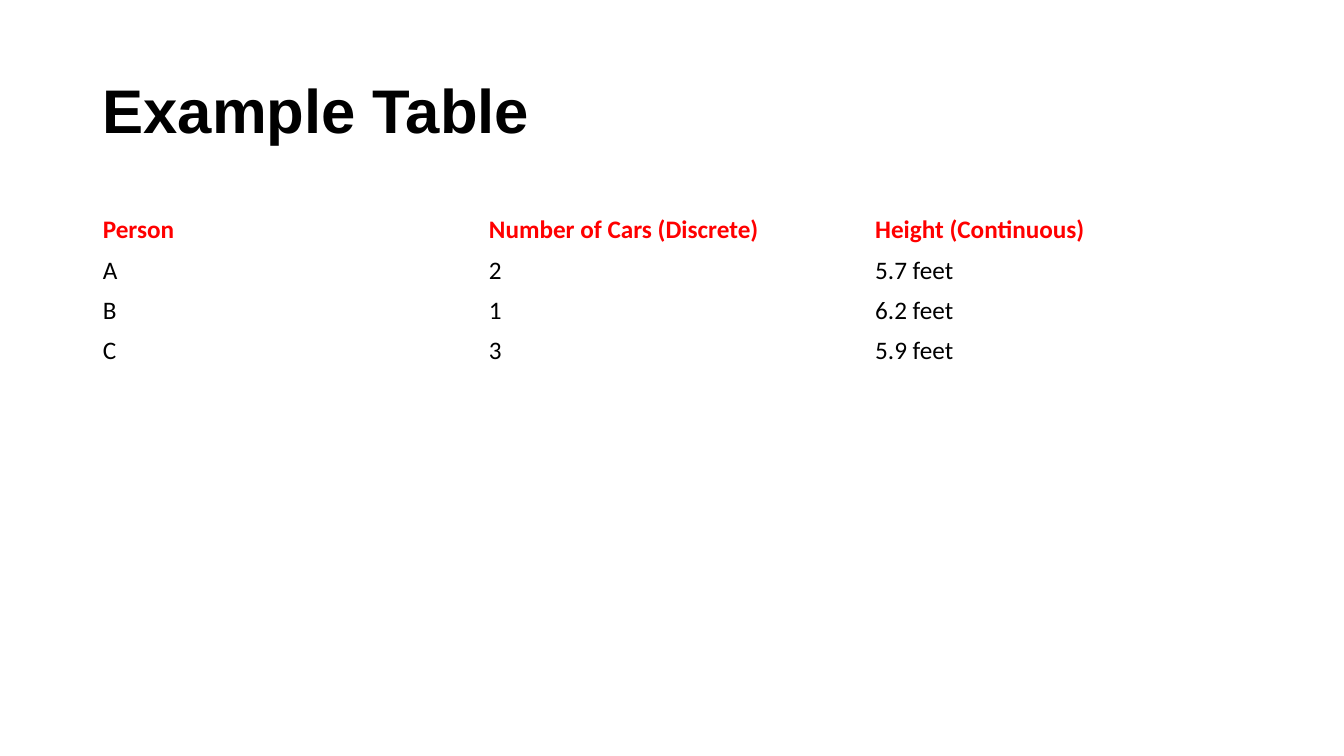
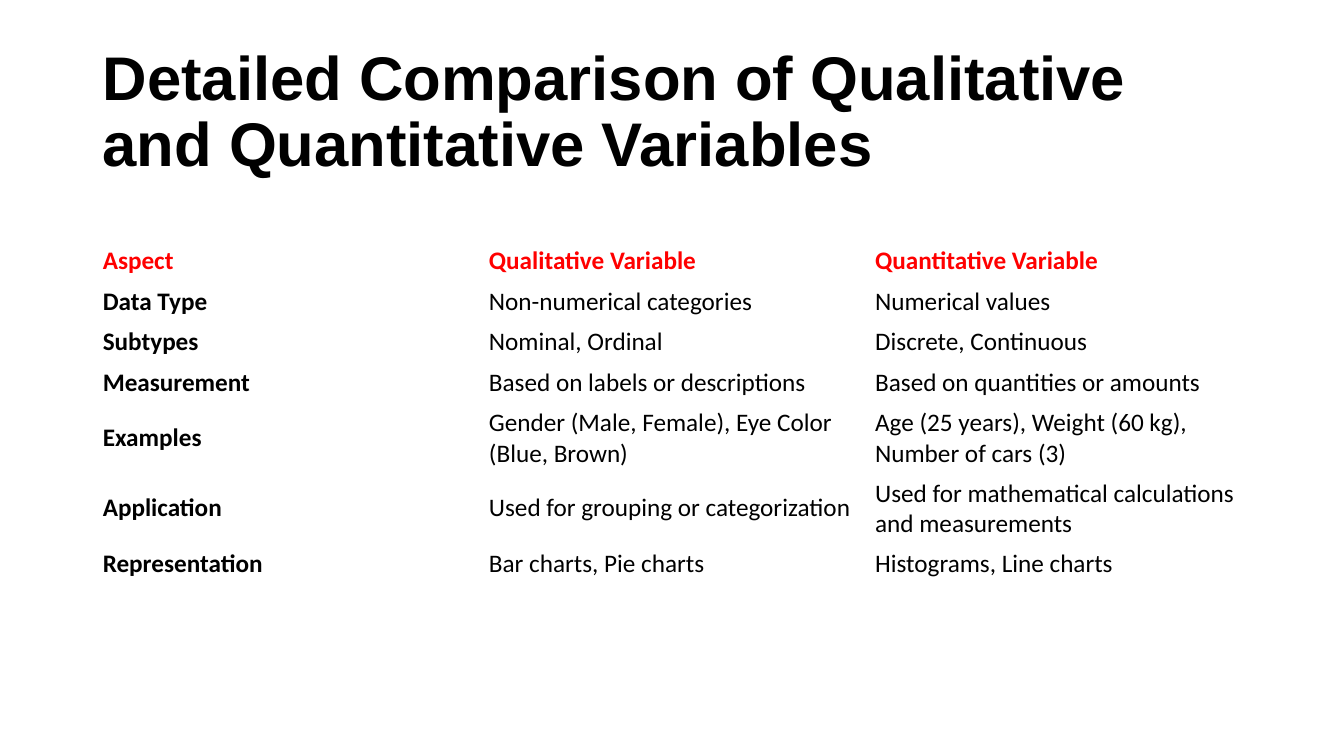
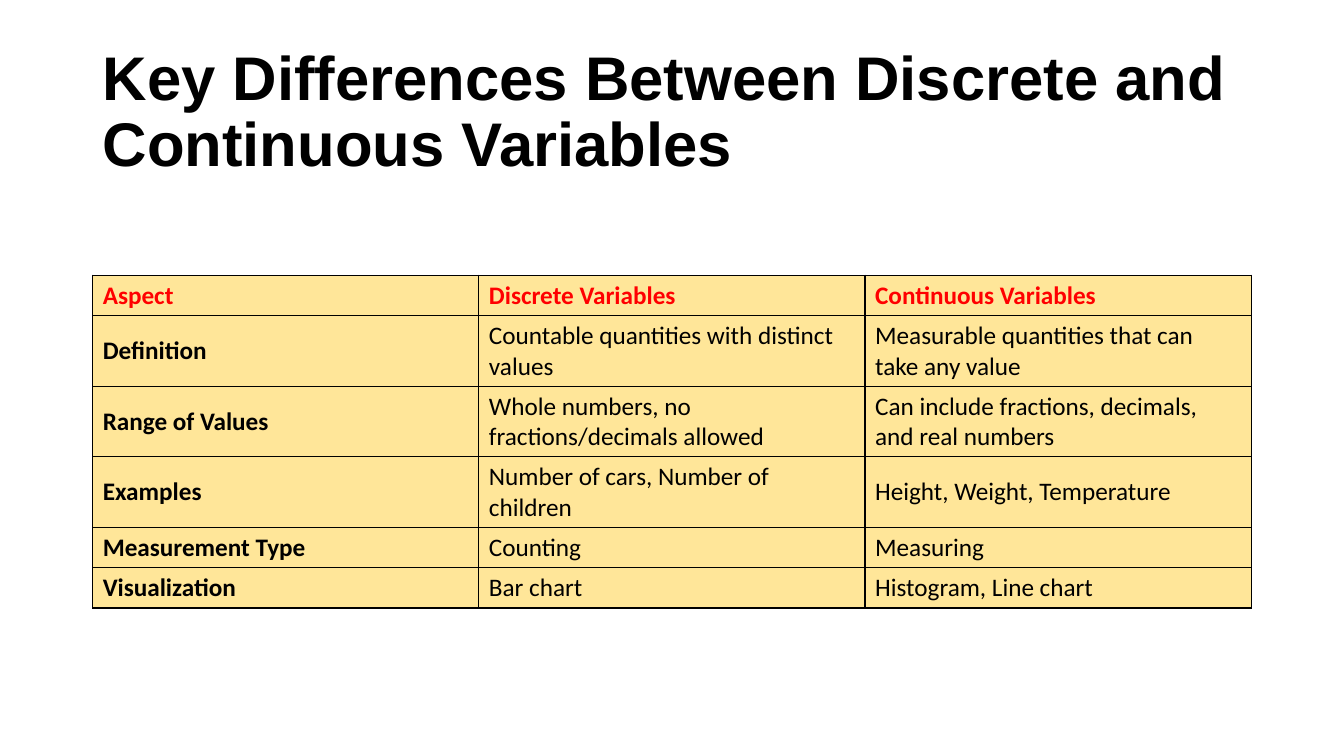
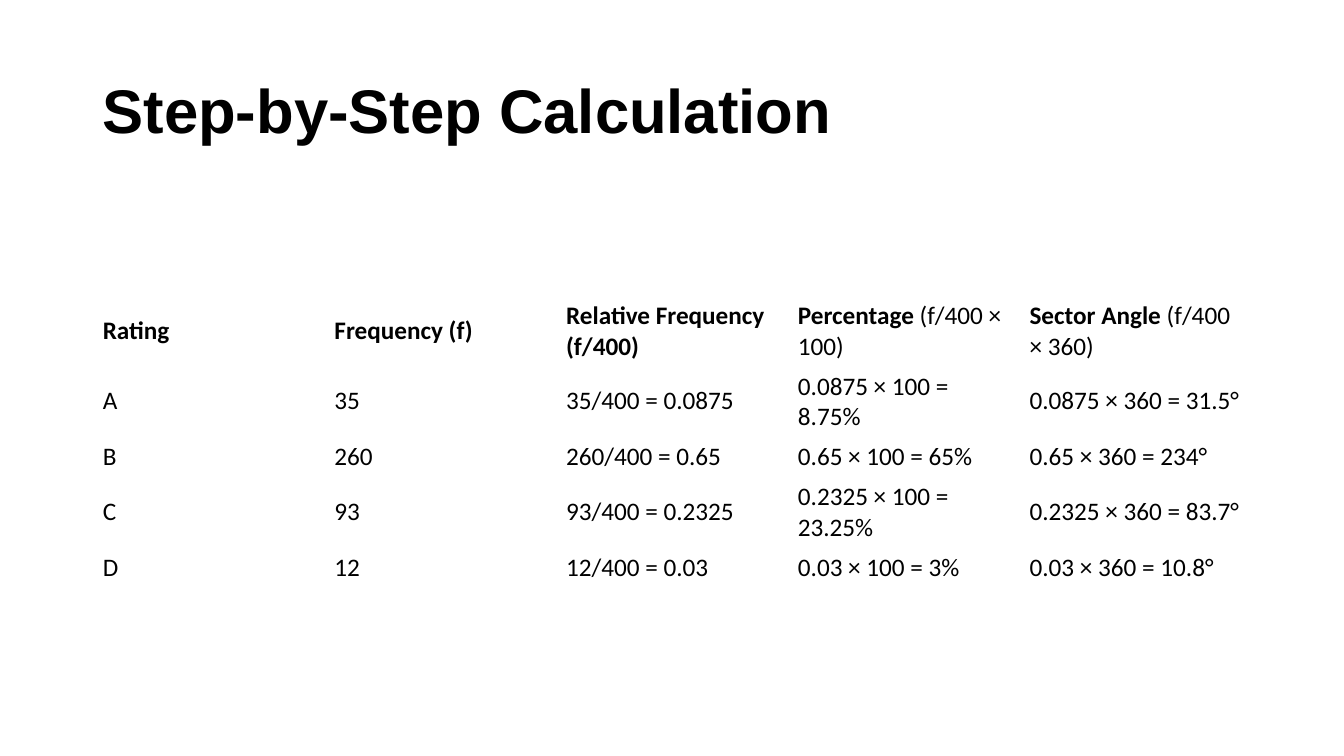
from pptx import Presentation
from pptx.dml.color import RGBColor
from pptx.enum.text import MSO_ANCHOR
from pptx.oxml import parse_xml
from pptx.oxml.ns import nsdecls
from pptx.util import Inches, Pt

BLACK, RED, SAND = "000000", "FF0000", "FFE699"
PLAIN = "{2D5ABB26-0587-4C30-8999-92F81FD0307C}"  # table style: no style, no grid
LOW, TALL = Inches(0.4), Inches(0.7)  # rows of one and of two lines

deck = Presentation()
deck.slide_width, deck.slide_height = Inches(13.33), Inches(7.5)
col = deck.slide_width / 14.5  # margins of one column each side
row = deck.slide_height / 100
left, span = int(col), int(12.5 * col)


def write(frame, text, size=18, font="Calibri", color=BLACK, bold=False, gap=None):
    """Fill a text frame; what follows a bar in the text is never bold."""
    para = frame.paragraphs[0]
    para.line_spacing = gap
    for i, part in enumerate(text.split("|")):
        run = para.add_run()
        run.text = part
        run.font.size, run.font.name = Pt(size), font
        run.font.bold = bold and i == 0
        run.font.color.rgb = RGBColor.from_string(color)


def edge(cell, color, width=1):
    """Draw a line on all four sides of a table cell."""
    props = cell._tc.get_or_add_tcPr()
    for i, side in enumerate("LRTB"):
        props.insert(i, parse_xml(
            f'<a:ln{side} {nsdecls("a")} w="{Pt(width)}"><a:solidFill>'
            f'<a:srgbClr val="{color}"/></a:solidFill></a:ln{side}>'))


# top is in hundredths of the slide's height; tall lists the two-line rows
pages = [
    dict(title="Example Table", top=27.73, tall=[], head=RED, lead=False, fill=None, rows=[
        ["Person", "Number of Cars (Discrete)", "Height (Continuous)"],
        ["A", "2", "5.7 feet"],
        ["B", "1", "6.2 feet"],
        ["C", "3", "5.9 feet"],
    ]),
    dict(title="Detailed Comparison of Qualitative and Quantitative Variables",
         top=31.87, tall=[4, 5], head=RED, lead=True, fill=None, rows=[
        ["Aspect", "Qualitative Variable", "Quantitative Variable"],
        ["Data Type", "Non-numerical categories", "Numerical values"],
        ["Subtypes", "Nominal, Ordinal", "Discrete, Continuous"],
        ["Measurement", "Based on labels or descriptions", "Based on quantities or amounts"],
        ["Examples", "Gender (Male, Female), Eye Color (Blue, Brown)",
         "Age (25 years), Weight (60 kg), Number of cars (3)"],
        ["Application", "Used for grouping or categorization",
         "Used for mathematical calculations and measurements"],
        ["Representation", "Bar charts, Pie charts", "Histograms, Line charts"],
    ]),
    dict(title="Key Differences Between Discrete and Continuous Variables",
         top=36.4, tall=[1, 2, 3], head=RED, lead=True, fill=SAND, rows=[
        ["Aspect", "Discrete Variables", "Continuous Variables"],
        ["Definition", "Countable quantities with distinct values",
         "Measurable quantities that can take any value"],
        ["Range of Values", "Whole numbers, no fractions/decimals allowed",
         "Can include fractions, decimals, and real numbers"],
        ["Examples", "Number of cars, Number of children", "Height, Weight, Temperature"],
        ["Measurement Type", "Counting", "Measuring"],
        ["Visualization", "Bar chart", "Histogram, Line chart"],
    ]),
    dict(title="Step-by-Step Calculation",
         top=39.07, tall=[0, 1, 3], head=BLACK, lead=False, fill=None, rows=[
        ["Rating", "Frequency (f)", "Relative Frequency (f/400)",
         "Percentage| (f/400 × 100)", "Sector Angle| (f/400 × 360)"],
        ["A", "35", "35/400 = 0.0875", "0.0875 × 100 = 8.75%", "0.0875 × 360 = 31.5°"],
        ["B", "260", "260/400 = 0.65", "0.65 × 100 = 65%", "0.65 × 360 = 234°"],
        ["C", "93", "93/400 = 0.2325", "0.2325 × 100 = 23.25%", "0.2325 × 360 = 83.7°"],
        ["D", "12", "12/400 = 0.03", "0.03 × 100 = 3%", "0.03 × 360 = 10.8°"],
    ]),
]

for page in pages:
    slide = deck.slides.add_slide(deck.slide_layouts[6])

    title = slide.shapes.add_textbox(left, int(5.33 * row), span, int(19.33 * row)).text_frame
    title.word_wrap = True
    title.vertical_anchor = MSO_ANCHOR.MIDDLE
    write(title, page["title"], size=44, font="Arial", bold=True, gap=0.9)

    rows = page["rows"]
    table = slide.shapes.add_table(len(rows), len(rows[0]), left, int(page["top"] * row),
                                   span, LOW * len(rows)).table
    table.first_row = table.horz_banding = False
    table._tbl.tblPr[0].text = PLAIN

    for y, texts in enumerate(rows):
        table.rows[y].height = TALL if y in page["tall"] else LOW
        for x, text in enumerate(texts):
            cell = table.cell(y, x)
            cell.vertical_anchor = MSO_ANCHOR.MIDDLE
            write(cell.text_frame, text, color=BLACK if y else page["head"],
                  bold=y == 0 or (x == 0 and page["lead"]))
            if page["fill"]:
                cell.fill.solid()
                cell.fill.fore_color.rgb = RGBColor.from_string(page["fill"])
                edge(cell, BLACK)
            else:
                cell.fill.background()

deck.save("out.pptx")
